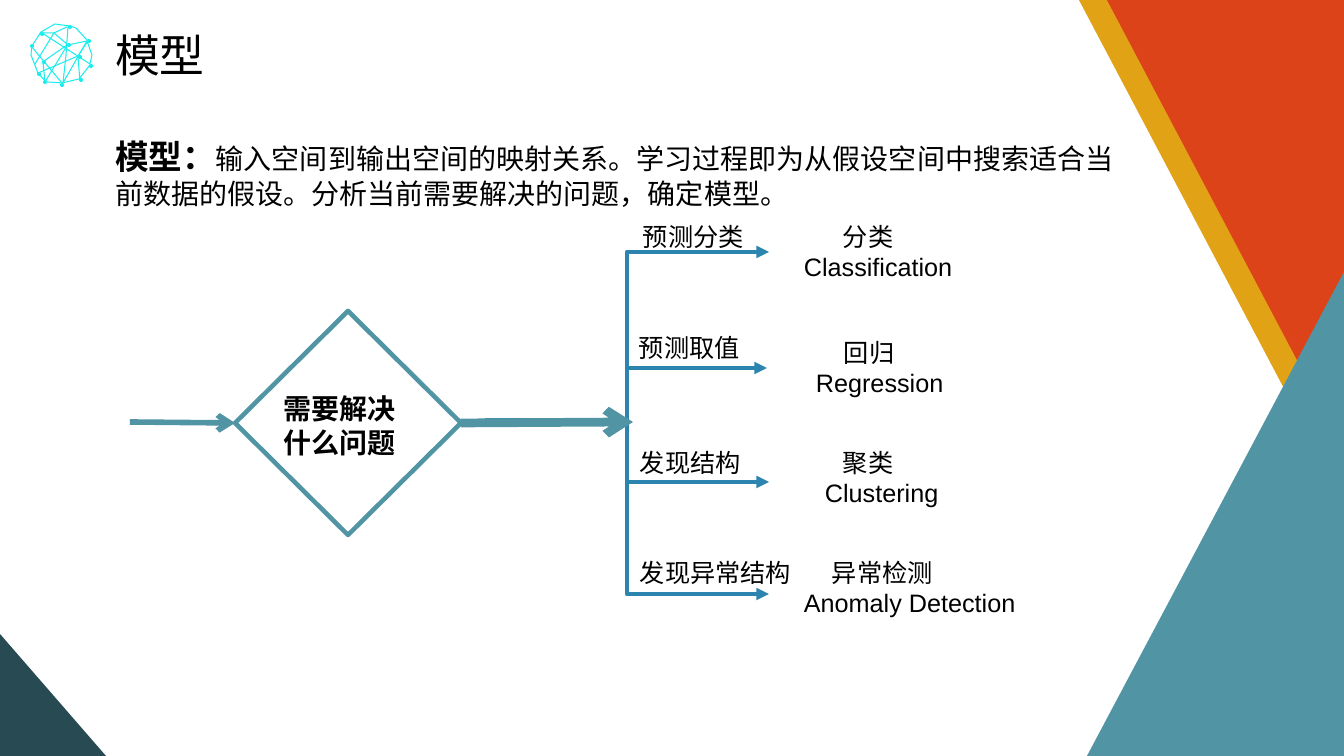
"""Build the slide on choosing a model by the problem to be solved."""
from lxml import etree
from pptx import Presentation
from pptx import util as u
from pptx.dml.color import RGBColor
from pptx.enum import shapes, text
from pptx.oxml.ns import qn

PX = 914400 / 100.8
TEAL, BLUE, CYAN = "5195A5", "2C85AE", "1DEEED"


def color(target, value):
    if hasattr(target, "solid"):
        target.solid()
        target = target.fore_color
    target.rgb = RGBColor.from_string(value)


def write(box, area, paragraphs, wrap=True):
    box.left, box.top, box.width, box.height = [u.Emu(round(n * PX)) for n in area]
    frame = box.text_frame
    frame_format = {
        "word_wrap": wrap,
        "auto_size": text.MSO_AUTO_SIZE.SHAPE_TO_FIT_TEXT,
        "vertical_anchor": text.MSO_ANCHOR.TOP,
    }
    for name, value in frame_format.items():
        setattr(frame, name, value)
    for index, (indent, spans) in enumerate(paragraphs):
        para = frame.add_paragraph() if index else frame.paragraphs[0]
        properties = para._p.get_or_add_pPr()
        properties.set("marL", str(round(indent * PX)))
        properties.set("indent", "0")
        etree.SubElement(properties, qn("a:buNone"))
        para.alignment = text.PP_ALIGN.LEFT
        para.space_before = u.Pt(0)
        for words, size, bold, font in spans:
            span = para.add_run()
            span.text = words
            for name, value in {"size": u.Pt(size), "bold": bold, "name": font}.items():
                setattr(span.font, name, value)
            color(span.font.color, "000000")


deck = Presentation()
deck.slide_width, deck.slide_height = round(1344 * PX), round(756 * PX)
page = deck.slides.add_slide(deck.slide_layouts[1])
items = page.shapes

corners = [
    ("E1A215", [(1316, 449), (1316, 0), (1079, 0)]),
    ("DD4319", [(1344, 449), (1344, 0), (1107, 0)]),
    (TEAL, [(1344, 272), (1344, 756), (1087, 756)]),
    ("284A52", [(0, 634), (0, 756), (106, 756)]),
]
for fill, points in corners:
    builder = items.build_freeform(*points[0], scale=PX)
    builder.add_line_segments(points[1:], close=True)
    corner = builder.convert_to_shape()
    corner.shadow.inherit = False
    color(corner.fill, fill)
    corner.line.fill.background()

globe_strands = [
    [(55, 24), (41, 32), (32, 46), (31, 55), (35, 65), (38, 73), (78, 56),
     (88, 41), (76, 28), (70, 26), (55, 24)],
    [(87, 41), (92, 55), (90, 64), (42, 33), (54, 33), (67, 27), (54, 33), (35, 64)],
    [(67, 45), (44, 61)],
    [(68, 44), (45, 82), (43, 62)],
    [(90, 65), (79, 79), (62, 83), (32, 47)],
    [(54, 33), (68, 45), (87, 41), (63, 83), (66, 56), (68, 27)],
    [(38, 73), (46, 82), (63, 83)],
    [(78, 56), (80, 81)],
]
for points in globe_strands:
    builder = items.build_freeform(*points[0], scale=PX)
    builder.add_line_segments(points[1:], close=False)
    strand = builder.convert_to_shape()
    strand.shadow.inherit = False
    strand.fill.background()
    color(strand.line.fill, CYAN)
    strand.line.width = u.Pt(0)

globe_dots = [(40, 32), (68, 25), (42, 60), (37, 72), (60, 83), (79, 78),
              (78, 55), (67, 43), (43, 80), (87, 39), (89, 64), (30, 44)]
for left, top in globe_dots:
    dot = items.add_shape(shapes.MSO_SHAPE.OVAL, *[round(n * PX) for n in (left, top, 4, 4)])
    dot.shadow.inherit = False
    color(dot.fill, CYAN)
    dot.line.fill.background()

write(items.title, (105, 23, 110, 65),
      [(0, [("模型", 32, False, "Noto Sans CJK JP")])], wrap=False)
write(page.placeholders[1], (105, 131, 1044, 85), [(0, [
    ("模型：", 24, True, "Arial"),
    ("输入空间到输出空间的映射关系。学习过程即为从假设空间中搜索适合当前数据的假设。"
     "分析当前需要解决的问题，确定模型。", 20, False, "Arial"),
])])

diamond = items.add_shape(shapes.MSO_SHAPE.DIAMOND,
                          *[round(n * PX) for n in (235, 311, 226, 224)])
diamond.shadow.inherit = False
diamond.fill.background()
color(diamond.line.fill, TEAL)
diamond.line.width = u.Pt(3.25)
write(items.add_textbox(0, 0, 0, 0), (274, 387, 147, 78),
      [(0, [("需要解决什么问题", 20, True, "Arial")])])

straight, elbow = shapes.MSO_CONNECTOR.STRAIGHT, shapes.MSO_CONNECTOR.ELBOW
arrows = [
    (straight, (629, 482, 769, 482), BLUE, 3, "triangle"),
    (elbow, (485, 424, 769, 252), BLUE, 3, "triangle"),
    (elbow, (485, 420, 769, 594), BLUE, 3, "triangle"),
    (straight, (627, 368, 767, 368), BLUE, 3, "triangle"),
    (straight, (130, 422, 235, 423), TEAL, 4, "arrow"),
    (straight, (461, 423, 633, 422), TEAL, 6.25, "arrow"),
]
for kind, ends, stroke, weight, head in arrows:
    arrow = items.add_connector(kind, *[round(n * PX) for n in ends])
    color(arrow.line.fill, stroke)
    arrow.line.width = u.Pt(weight)
    etree.SubElement(arrow.line._get_or_add_ln(), qn("a:tailEnd"), type=head)
    etree.SubElement(arrow._element.spPr, qn("a:effectLst"))
    if ends[2] == 235:
        arrow.end_connect(diamond, 1)
    if ends[0] == 461:
        arrow.begin_connect(diamond, 3)

branches = [
    ("预测分类", (633, 216, 133, 40), (794, 216), ("分类", 39), ("Classification", 0)),
    ("预测取值", (629, 327, 133, 40), (806, 332), ("回归", 28), ("Regression", 0)),
    ("发现结构", (630, 442, 133, 40), (794, 442), ("聚类", 39), ("Clustering", 21)),
    ("发现异常结构", (630, 552, 176, 40), (794, 552), ("异常检测", 28), ("Anomaly Detection", 0)),
]
for goal, goal_area, corner, *names in branches:
    write(items.add_textbox(0, 0, 0, 0), goal_area, [(0, [(goal, 18, False, "Arial")])])
    write(items.add_textbox(0, 0, 0, 0), (*corner, 241, 72),
          [(indent, [(name, 18, False, "Arial")]) for name, indent in names])

deck.save("out.pptx")
